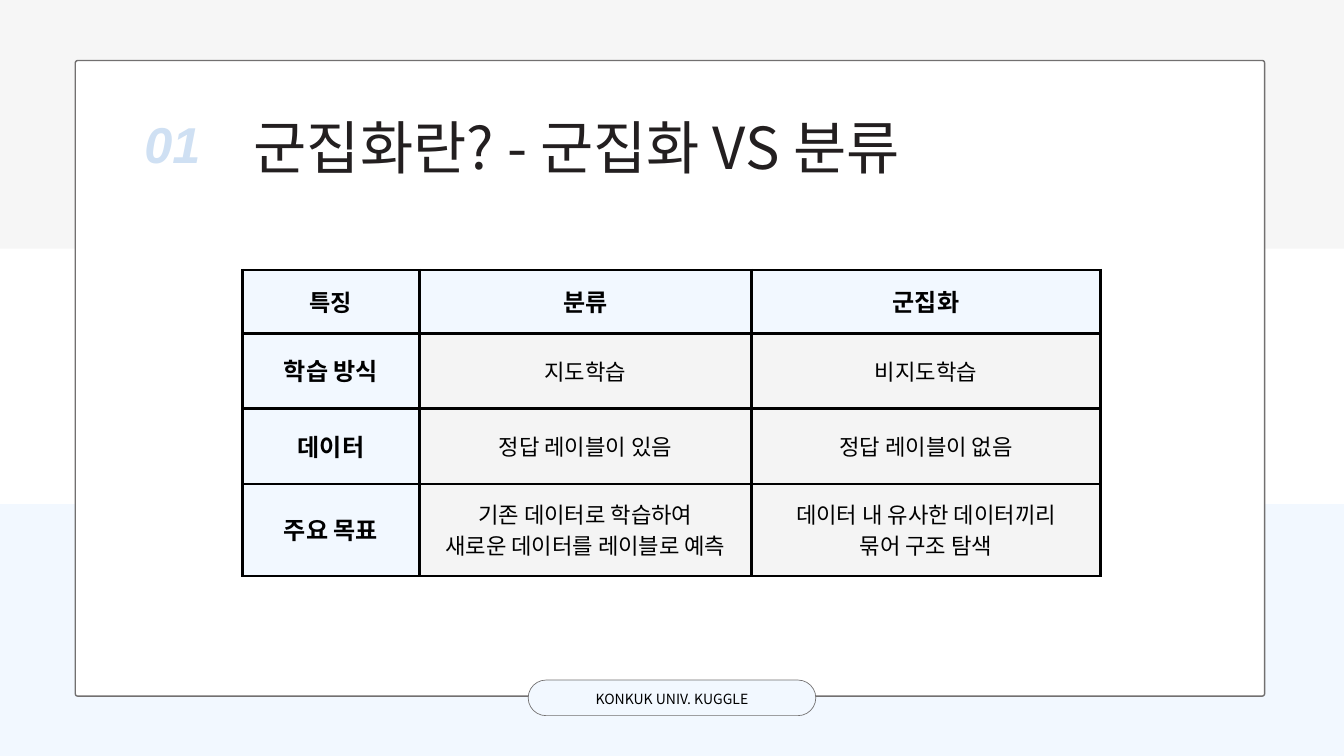
"""Build a slide that compares clustering with classification."""
from lxml import etree
from pptx import Presentation
from pptx.dml.color import RGBColor
from pptx.enum.shapes import MSO_SHAPE
from pptx.enum.text import MSO_ANCHOR, MSO_AUTO_SIZE, PP_ALIGN
from pptx.oxml.ns import qn
from pptx.util import Inches, Pt

RECT, ROUND = MSO_SHAPE.RECTANGLE, MSO_SHAPE.ROUNDED_RECTANGLE
TOP, MIDDLE = MSO_ANCHOR.TOP, MSO_ANCHOR.MIDDLE
CENTER, LEFT = PP_ALIGN.CENTER, PP_ALIGN.LEFT
FIXED = MSO_AUTO_SIZE.NONE

FONT = "Noto Sans CJK KR"
BLUE, GRAY, WHITE, EDGE, BLACK = "F2F8FF", "F4F4F4", "FFFFFF", "727070", "000000"

TITLE = "군집화란? - 군집화 VS 분류"
NUMBER = "01"
FOOTER = "KONKUK UNIV. KUGGLE"
ROWS = [
    ["특징", "분류", "군집화"],
    ["학습 방식", "지도학습", "비지도학습"],
    ["데이터", "정답 레이블이 있음", "정답 레이블이 없음"],
    ["주요 목표", "기존 데이터로 학습하여\n새로운 데이터를 레이블로 예측",
     "데이터 내 유사한 데이터끼리\n묶어 구조 탐색"],
]
WIDTHS = [2.63, 4.94, 5.2]
HEIGHTS = [0.94, 1.12, 1.12, 1.37]


def color(code):
    return RGBColor.from_string(code)


def write(frame, text, size, ink=BLACK, bold=False, italic=False,
          font=FONT, align=CENTER, lead=1.4):
    for i, line in enumerate(text.split("\n")):
        para = frame.paragraphs[0] if i == 0 else frame.add_paragraph()
        para.alignment = align
        para.space_before = Pt(0)
        para.line_spacing = Pt(round(size * lead, 1))
        run = para.add_run()
        run.text = line
        run.font.size = Pt(size)
        run.font.name = font
        run.font.bold = bold
        run.font.italic = italic
        run.font.color.rgb = color(ink)
        etree.SubElement(run.font._element, qn("a:ea"), typeface=font)


def setup(frame, inset, anchor):
    frame.word_wrap = True
    frame.auto_size = FIXED
    frame.vertical_anchor = anchor
    frame.margin_left = frame.margin_right = Inches(inset)
    frame.margin_top = frame.margin_bottom = Inches(inset)


def panel(slide, kind, box, fill, line=0, curve=0):
    shape = slide.shapes.add_shape(kind, *map(Inches, box))
    shape.shadow.inherit = False
    shape.fill.solid()
    shape.fill.fore_color.rgb = color(fill)
    if line:
        shape.line.color.rgb = color(EDGE)
        shape.line.width = Pt(line)
    else:
        shape.line.fill.background()
    if kind == ROUND:
        shape.adjustments[0] = curve
    return shape


def border(cell):
    props = cell._tc.get_or_add_tcPr()
    for i, side in enumerate(("lnL", "lnR", "lnT", "lnB")):
        line = etree.Element(qn("a:" + side), w=str(Pt(3)))
        fill = etree.SubElement(line, qn("a:solidFill"))
        etree.SubElement(fill, qn("a:srgbClr"), val=BLACK)
        props.insert(i, line)


def grid(slide):
    box = (3.61, 4.02, sum(WIDTHS), sum(HEIGHTS))
    table = slide.shapes.add_table(len(ROWS), len(WIDTHS), *map(Inches, box)).table
    for col, width in zip(table.columns, WIDTHS):
        col.width = Inches(width)
    for row, height in zip(table.rows, HEIGHTS):
        row.height = Inches(height)
    for r, texts in enumerate(ROWS):
        for c, text in enumerate(texts):
            cell = table.cell(r, c)
            head = r == 0 or c == 0
            size = 24.8 if r == c == 0 else 25.8 if head else 23.8
            cell.fill.solid()
            cell.fill.fore_color.rgb = color(BLUE if head else GRAY)
            cell.vertical_anchor = MIDDLE
            cell.margin_left = cell.margin_right = Inches(0.21)
            cell.margin_top = cell.margin_bottom = Inches(0.21)
            border(cell)
            write(cell.text_frame, text, size, bold=head)


def main():
    deck = Presentation()
    deck.slide_width, deck.slide_height = Inches(20), Inches(11.25)
    slide = deck.slides.add_slide(deck.slide_layouts[5])

    band = panel(slide, RECT, (0, 0, 20, 3.7), GRAY)
    tint = band.fill._xPr.find(".//" + qn("a:srgbClr"))
    etree.SubElement(tint, qn("a:alpha"), val="74000")
    panel(slide, RECT, (0, 7.5, 20, 3.75), BLUE)
    panel(slide, ROUND, (1.12, 0.9, 17.7, 9.46), WHITE, 1.5, 0.004)
    pill = panel(slide, ROUND, (7.86, 10.12, 4.28, 0.53), BLUE, 0.75, 0.5)
    setup(pill.text_frame, 0.06, MIDDLE)
    write(pill.text_frame, FOOTER, 15)

    grid(slide)

    label = slide.shapes.add_textbox(*map(Inches, (2.15, 1.72, 1.1, 0.95)))
    setup(label.text_frame, 0, TOP)
    write(label.text_frame, NUMBER, 54, "CFE0F3", True, True,
          "Liberation Sans", LEFT, 1.15)

    title = slide.shapes.title
    title.left, title.top, title.width, title.height = map(
        Inches, (2.69, 1.49, 11.78, 1.16))
    setup(title.text_frame, 0, TOP)
    write(title.text_frame, TITLE, 62, "231F20")
    slide.shapes._spTree.append(title._element)

    deck.save("out.pptx")


if __name__ == "__main__":
    main()
